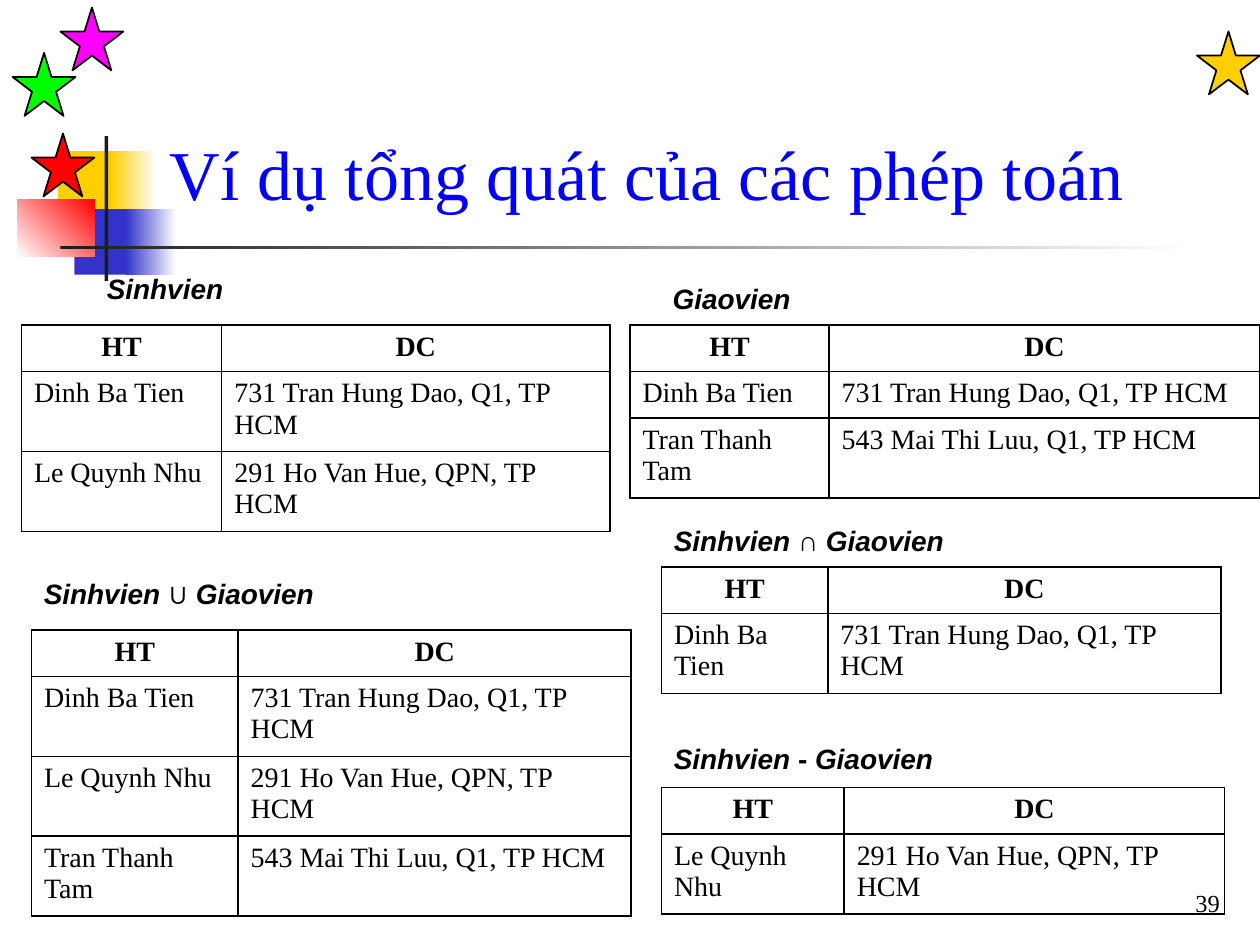
from lxml.etree import SubElement
from pptx import Presentation
from pptx.dml.color import RGBColor
from pptx.enum.shapes import MSO_SHAPE as Shape
from pptx.enum.text import MSO_ANCHOR as Anchor, MSO_AUTO_SIZE as AutoSize, PP_ALIGN as Align
from pptx.oxml.ns import qn
from pptx.util import Inches, Pt

SERIF, SANS = "Times New Roman", "Arial"
BLACK, WHITE = "000000", "FFFFFF"
YELLOW, BLUE, RED, DARK = "FFCF01", "3333CC", "FF0000", "1C1C1C"

BLOCKS = [
    ((0.46, 1.2, 0.48, 0.52), [YELLOW], 0),
    ((0.88, 1.2, 0.36, 0.52), [YELLOW, WHITE], 0),
    ((0.59, 1.66, 0.46, 0.52), [BLUE], 0),
    ((1, 1.66, 0.4, 0.52), [BLUE, WHITE], 0),
    ((0.14, 1.58, 0.61, 0.46), [WHITE, RED], 45),
    ((0.83, 1.08, 0.03, 1.15), [DARK], 0),
    ((0.48, 1.95, 9, 0.03), [DARK, WHITE], 0),
]
STARS = [(9.5, 0.25, YELLOW), (0.25, 1.06, RED), (0.1, 0.42, "00FF00"), (0.48, 0.06, "FF00FF")]
STAR_SIZE = 0.5

TITLE = "Ví dụ tổng quát của các phép toán"
LABELS = [
    ((0.75, 2.1, 1.13, 0.37), ["Sinhvien"]),
    ((5.24, 2.18, 1.14, 0.37), ["Giaovien"]),
    ((5.25, 4.1, 2.36, 0.37), ["Sinhvien ", "∩ ", "Giaovien"]),
    ((0.25, 4.52, 2.36, 0.37), ["Sinhvien ", "∪ ", "Giaovien"]),
    ((5.25, 5.83, 2.27, 0.37), ["Sinhvien ", "- ", "Giaovien"]),
]

HEADER = ("HT", "DC")
TIEN = ("Dinh Ba Tien", "731 Tran Hung Dao, Q1, TP HCM")
NHU = ("Le Quynh Nhu", "291 Ho Van Hue, QPN, TP HCM")
TAM = ("Tran Thanh Tam", "543 Mai Thi Luu, Q1, TP HCM")
ONE_LINE, TWO_LINES = 0.37, 0.63
TABLES = [
    (0.17, 2.58, (1.59, 3.08), [(TIEN, TWO_LINES), (NHU, TWO_LINES)]),
    (5, 2.58, (1.58, 3.42), [(TIEN, ONE_LINE), (TAM, TWO_LINES)]),
    (0.25, 5, (1.64, 3.12), [(TIEN, TWO_LINES), (NHU, TWO_LINES), (TAM, TWO_LINES)]),
    (5.25, 6.25, (1.45, 3.02), [(NHU, TWO_LINES)]),
    (5.25, 4.5, (1.32, 3.12), [(TIEN, TWO_LINES)]),
]


def color(value):
    return RGBColor.from_string(value)


def write(frame, parts, size=16, font=SERIF, ink=BLACK, bold=False, italics=(False,), align=Align.LEFT):
    para = frame.paragraphs[0]
    para.alignment = align
    for index, part in enumerate(parts):
        span = para.add_run()
        span.text = part
        span.font.size = Pt(size)
        span.font.name = font
        span.font.bold = bold
        span.font.italic = italics[index % len(italics)]
        span.font.color.rgb = color(ink)


def add_text(page, place, parts, anchor=Anchor.BOTTOM, wrap=True, **style):
    frame = page.shapes.add_textbox(*map(Inches, place)).text_frame
    frame.word_wrap = wrap
    frame.auto_size = AutoSize.NONE if wrap else AutoSize.SHAPE_TO_FIT_TEXT
    frame.vertical_anchor = anchor
    write(frame, parts, **style)


def add_shape(page, kind, place, fills, angle=0, outline=None):
    shape = page.shapes.add_shape(kind, *map(Inches, place))
    shape.shadow.inherit = False
    if len(fills) == 1:
        shape.fill.solid()
        shape.fill.fore_color.rgb = color(fills[0])
    else:
        shape.fill.gradient()
        shape.fill.gradient_angle = angle
        for position, (stop, fill) in enumerate(zip(shape.fill.gradient_stops, fills)):
            stop.color.rgb = color(fill)
            stop.position = position
    if outline:
        shape.line.color.rgb = color(outline)
        shape.line.width = Pt(1)
    else:
        shape.line.fill.background()


def add_borders(cell):
    properties = cell._tc.get_or_add_tcPr()
    for index, side in enumerate(("lnL", "lnR", "lnT", "lnB")):
        line = SubElement(properties, qn(f"a:{side}"), w=str(Pt(1)))
        fill = SubElement(line, qn("a:solidFill"))
        SubElement(fill, qn("a:srgbClr"), val=BLACK)
        properties.insert(index, line)


def add_relation(page, left, top, widths, records):
    rows = [(HEADER, ONE_LINE)] + records
    height = sum(row_height for _, row_height in rows)
    place = map(Inches, (left, top, sum(widths), height))
    table = page.shapes.add_table(len(rows), len(widths), *place).table
    table.first_row = table.horz_banding = False
    for column, width in zip(table.columns, widths):
        column.width = Inches(width)
    for row, (values, row_height) in zip(table.rows, rows):
        row.height = Inches(row_height)
        header = values == HEADER
        for cell, value in zip(row.cells, values):
            cell.fill.background()
            add_borders(cell)
            write(cell.text_frame, [value], bold=header, align=Align.CENTER if header else Align.LEFT)


def main():
    deck = Presentation()
    deck.slide_width, deck.slide_height = Inches(10), Inches(7.5)
    page = deck.slides.add_slide(deck.slide_layouts[6])
    for place, fills, angle in BLOCKS:
        add_shape(page, Shape.RECTANGLE, place, fills, angle)
    for left, top, fill in STARS:
        add_shape(page, Shape.STAR_5_POINT, (left, top, STAR_SIZE, STAR_SIZE), [fill], outline=BLACK)
    add_text(page, (1.25, 0.75, 8.52, 1), [TITLE], size=40, ink="0000FF")
    for place, parts in LABELS:
        add_text(page, place, parts, anchor=Anchor.MIDDLE, wrap=False, font=SANS, bold=True, italics=(True, False))
    for relation in TABLES:
        add_relation(page, *relation)
    add_text(page, (7.7, 6.83, 2.08, 0.5), ["39"], size=14, align=Align.RIGHT)
    deck.save("out.pptx")


if __name__ == "__main__":
    main()
